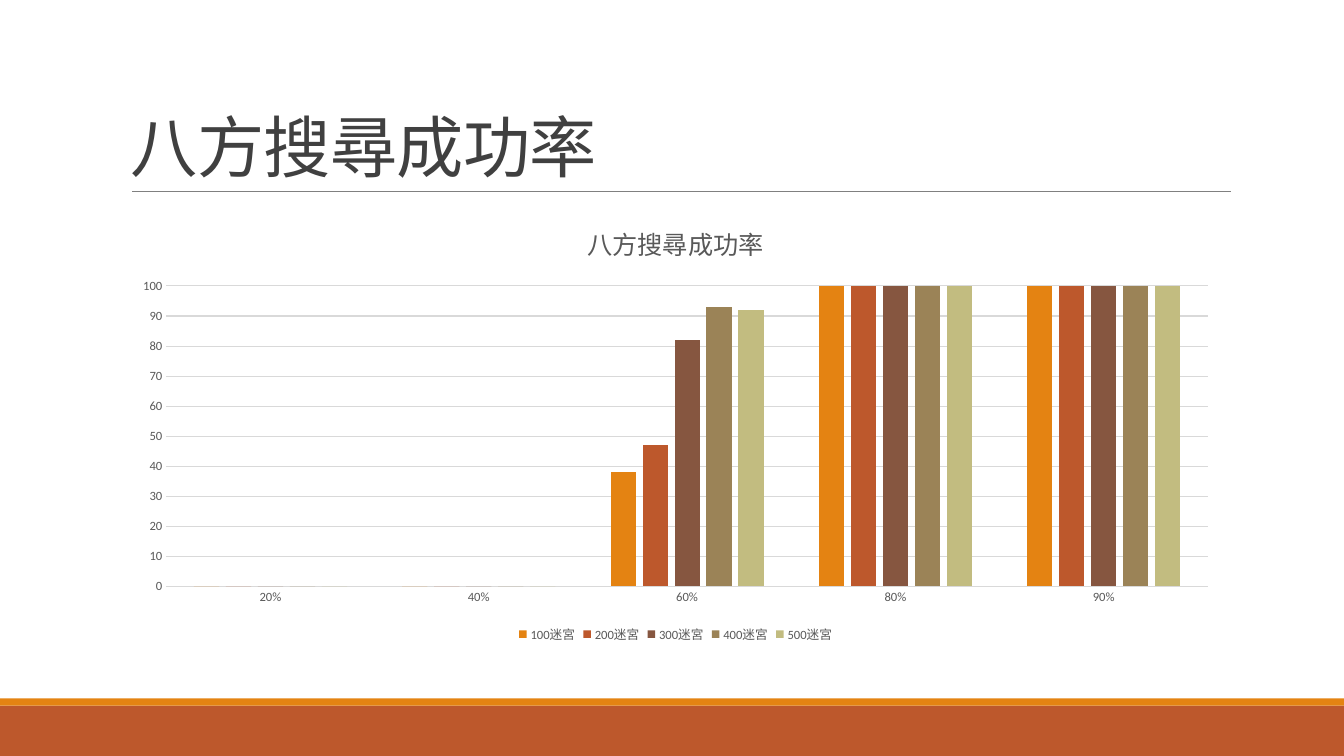
from dataclasses import dataclass

from lxml.etree import SubElement
from pptx import Presentation
from pptx.chart.data import CategoryChartData
from pptx.dml.color import RGBColor
from pptx.enum.chart import XL_CHART_TYPE as ChartType
from pptx.enum.chart import XL_LEGEND_POSITION as LegendPosition
from pptx.enum.chart import XL_TICK_MARK as TickMark
from pptx.enum.shapes import MSO_CONNECTOR as ConnectorType
from pptx.enum.shapes import MSO_SHAPE as ShapeType
from pptx.enum.text import MSO_ANCHOR as Anchor
from pptx.oxml.ns import qn
from pptx.util import Emu, Pt

EMU_PER_PX = 9144
FONT = "Calibri"
HEADING = "八方搜尋成功率"
COLORS = {
    "title": "404040",
    "label": "595959",
    "rule": "808080",
    "grid": "D9D9D9",
    "orange": "E48312",
    "rust": "BD582C",
    "brown": "865640",
    "khaki": "9B8357",
    "sage": "C2BC80",
}


@dataclass(frozen=True)
class Band:
    top: int
    height: int
    color: str


@dataclass(frozen=True)
class MazeSeries:
    size: int
    success_at_60: int
    color: str

    @property
    def values(self) -> tuple[int, ...]:
        return (0, 0, self.success_at_60, 100, 100)


SLIDE_WIDTH, SLIDE_HEIGHT = 1333, 750
BANDS = (Band(700, 50, "rust"), Band(693, 7, "orange"))
RATES = (0.2, 0.4, 0.6, 0.8, 0.9)
SERIES = (
    MazeSeries(100, 38, "orange"),
    MazeSeries(200, 47, "rust"),
    MazeSeries(300, 82, "brown"),
    MazeSeries(400, 93, "khaki"),
    MazeSeries(500, 92, "sage"),
)


def px(*lengths: int) -> list[Emu]:
    return [Emu(length * EMU_PER_PX) for length in lengths]


def rgb(name: str) -> RGBColor:
    return RGBColor.from_string(COLORS[name])


def apply(target, formats: dict) -> None:
    for name, value in formats.items():
        setattr(target, name, value)


def style_font(font, size: int, color: str) -> None:
    apply(font, {"name": FONT, "size": Pt(size), "bold": False})
    font.color.rgb = rgb(color)


def style_line(line, width: float, color: str) -> None:
    line.width = Pt(width)
    line.color.rgb = rgb(color)


def add_band(slide, band: Band) -> None:
    shape = slide.shapes.add_shape(
        ShapeType.RECTANGLE, *px(0, band.top, SLIDE_WIDTH, band.height)
    )
    shape.shadow.inherit = False
    shape.fill.solid()
    shape.fill.fore_color.rgb = rgb(band.color)
    shape.line.fill.background()


def add_rule(slide) -> None:
    rule = slide.shapes.add_connector(
        ConnectorType.STRAIGHT, *px(131, 190, 1221, 190)
    )
    style_line(rule.line, 0.5, "rule")
    SubElement(rule.element.spPr, qn("a:effectLst"))


def add_title(slide) -> None:
    box = slide.shapes.add_textbox(*px(120, 31, 1100, 159))
    apply(box.text_frame, {"word_wrap": True, "vertical_anchor": Anchor.BOTTOM})
    paragraph = box.text_frame.paragraphs[0]
    paragraph.line_spacing = 0.85
    run = paragraph.add_run()
    run.text = HEADING
    style_font(run.font, 48, "title")
    run.font._element.set("spc", "-50")


def add_success_chart(slide) -> None:
    data = CategoryChartData(number_format="General")
    data.categories = RATES
    data.categories.number_format = "0%"
    for maze in SERIES:
        data.add_series(f"{maze.size}迷宮", maze.values)
    chart = slide.shapes.add_chart(
        ChartType.COLUMN_CLUSTERED, *px(120, 202, 1100, 440), data
    ).chart
    style_font(chart.font, 10, "label")

    chart.has_title = True
    run = chart.chart_title.text_frame.paragraphs[0].add_run()
    run.text = HEADING
    style_font(run.font, 18, "label")

    chart.has_legend = True
    apply(
        chart.legend,
        {"position": LegendPosition.BOTTOM, "include_in_layout": False},
    )
    style_font(chart.legend.font, 9, "label")

    plot = chart.plots[0]
    apply(plot, {"gap_width": 219, "overlap": -27, "vary_by_categories": False})
    for series, maze in zip(plot.series, SERIES):
        series.invert_if_negative = False
        series.format.fill.solid()
        series.format.fill.fore_color.rgb = rgb(maze.color)

    for axis, number_format in (
        (chart.category_axis, "0%"),
        (chart.value_axis, "General"),
    ):
        apply(
            axis,
            {"major_tick_mark": TickMark.NONE, "minor_tick_mark": TickMark.NONE},
        )
        apply(
            axis.tick_labels,
            {"number_format": number_format, "number_format_is_linked": False},
        )
        style_font(axis.tick_labels.font, 9, "label")
    style_line(chart.category_axis.format.line, 0.75, "grid")
    apply(
        chart.value_axis,
        {
            "minimum_scale": 0,
            "maximum_scale": 100,
            "major_unit": 10,
            "has_major_gridlines": True,
        },
    )
    chart.value_axis.format.line.fill.background()
    style_line(chart.value_axis.major_gridlines.format.line, 0.75, "grid")


def main() -> None:
    presentation = Presentation()
    width, height = px(SLIDE_WIDTH, SLIDE_HEIGHT)
    apply(presentation, {"slide_width": width, "slide_height": height})
    slide = presentation.slides.add_slide(presentation.slide_layouts[6])
    for band in BANDS:
        add_band(slide, band)
    add_rule(slide)
    add_title(slide)
    add_success_chart(slide)
    presentation.save("out.pptx")


if __name__ == "__main__":
    main()
